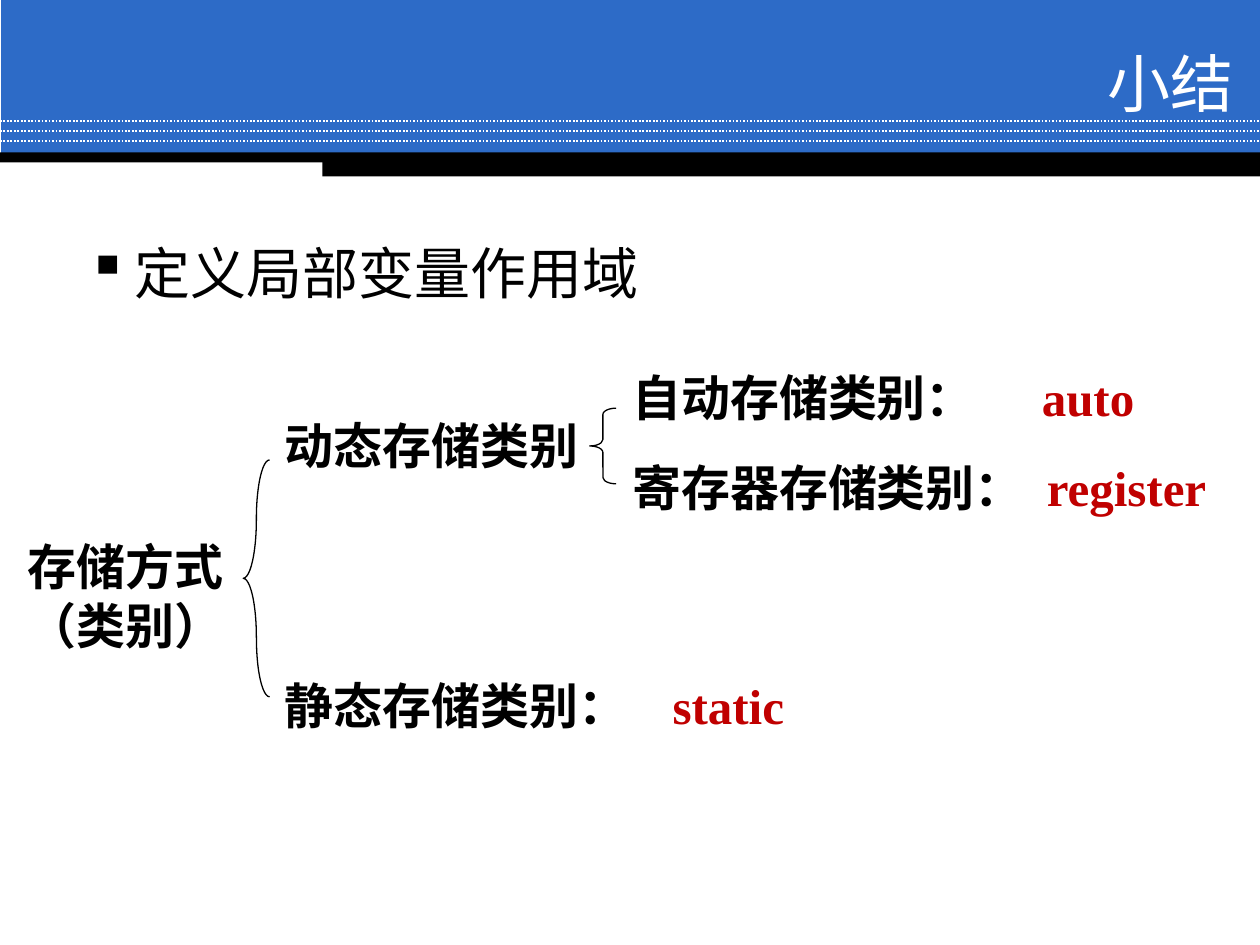
from dataclasses import dataclass
from typing import Optional

from lxml.etree import SubElement
from pptx import Presentation
from pptx.dml.color import RGBColor
from pptx.enum.dml import MSO_LINE
from pptx.enum.shapes import MSO_CONNECTOR, MSO_SHAPE
from pptx.enum.text import MSO_ANCHOR, PP_ALIGN
from pptx.oxml.ns import qn
from pptx.util import Inches, Pt

WHITE = RGBColor(0xFF, 0xFF, 0xFF)
BLACK = RGBColor(0x00, 0x00, 0x00)
BLUE = RGBColor(0x2D, 0x6B, 0xC7)
RED = RGBColor(0xC0, 0x00, 0x00)

WIDTH, HEIGHT = Inches(10), Inches(7.5)
COLUMNS, ROWS = 100, 75
BRANCH_COLUMN, LEAF_COLUMN = 21.6, 49.2


@dataclass(frozen=True)
class Area:
    column: float
    row: float
    columns: float
    rows: float

    def lengths(self) -> tuple:
        return (across(self.column), down(self.row),
                across(self.columns), down(self.rows))


@dataclass(frozen=True)
class Label:
    area: Area
    text: str
    keyword: Optional[str] = None
    keyword_column: float = 0


@dataclass(frozen=True)
class Brace:
    area: Area
    curve: float


BARS = [
    (Area(0.1, 0, 99.9, 12.3), BLUE),
    (Area(0, 12.1, 100, 0.8), BLACK),
    (Area(25.6, 12.4, 74.4, 1.6), BLACK),
]
DOTTED_ROWS = [9.6 + 0.8 * index for index in range(3)]
LABELS = [
    Label(Area(1.2, 42.1, 20.5, 10.3), "存储方式（类别）"),
    Label(Area(BRANCH_COLUMN, 32.5, 26.9, 5.7), "动态存储类别"),
    Label(Area(BRANCH_COLUMN, 53.1, 46.5, 5.7), "静态存储类别：", "static", 53.4),
    Label(Area(LEAF_COLUMN, 28.7, 50.8, 5.7), "自动存储类别：", "auto", 82.7),
    Label(Area(LEAF_COLUMN, 35.8, 48.5, 5.7), "寄存器存储类别：", "register", 83.1),
]
BRACES = [
    Brace(Area(19.3, 36.5, 2.1, 18.8), 2.22),
    Brace(Area(46.8, 32.4, 2.1, 6), 0.24),
]


def across(columns: float) -> int:
    return round(WIDTH * columns / COLUMNS)


def down(rows: float) -> int:
    return round(HEIGHT * rows / ROWS)


def add_bar(page, area: Area, color: RGBColor) -> None:
    bar = page.shapes.add_shape(MSO_SHAPE.RECTANGLE, *area.lengths())
    bar.shadow.inherit = False
    bar.fill.solid()
    bar.fill.fore_color.rgb = color
    bar.line.fill.background()


def add_dotted_line(page, row: float) -> None:
    line = page.shapes.add_connector(
        MSO_CONNECTOR.STRAIGHT, 0, down(row), WIDTH, down(row))
    line.line.color.rgb = WHITE
    line.line.width = Pt(1)
    line.line.dash_style = MSO_LINE.ROUND_DOT
    SubElement(line._element.spPr, qn("a:effectLst"))


def add_brace(page, brace: Brace) -> None:
    shape = page.shapes.add_shape(MSO_SHAPE.LEFT_BRACE, *brace.area.lengths())
    shape.adjustments[0] = brace.curve
    shape.shadow.inherit = False
    shape.fill.background()
    shape.line.color.rgb = BLACK
    shape.line.width = Pt(0.75)


def add_box(page, area: Area):
    box = page.shapes.add_textbox(*area.lengths())
    box.text_frame.word_wrap = True
    return box.text_frame, box.text_frame.paragraphs[0]


def add_span(para, text: str, size: float, color: RGBColor,
             font: str = "Times New Roman", bold: bool = False) -> None:
    span = para.add_run()
    span.text = text
    span.font.name = font
    span.font.size = Pt(size)
    span.font.bold = bold
    span.font.color.rgb = color


def add_label(page, label: Label) -> None:
    frame, para = add_box(page, label.area)
    add_span(para, label.text, 28, BLACK, bold=True)
    if label.keyword:
        stops = SubElement(para._p.get_or_add_pPr(), qn("a:tabLst"))
        position = across(label.keyword_column - label.area.column) - frame.margin_left
        SubElement(stops, qn("a:tab"), pos=str(position), algn="l")
        add_span(para, "\t" + label.keyword, 28, RED, bold=True)


def add_title(page) -> None:
    frame, para = add_box(page, Area(29.7, 3.6, 69.2, 5.8))
    frame.vertical_anchor = MSO_ANCHOR.MIDDLE
    para.alignment = PP_ALIGN.RIGHT
    add_span(para, "小结", 36, WHITE, "Arial")


def add_bullet(page) -> None:
    frame, para = add_box(page, Area(5.9, 18.4, 89.8, 9.6))
    properties = para._p.get_or_add_pPr()
    properties.set("marL", str(across(3.8)))
    properties.set("indent", str(-across(3.8)))
    SubElement(properties, qn("a:buChar"), char="▪")
    add_span(para, "定义局部变量作用域", 32, BLACK)


def main() -> None:
    deck = Presentation()
    deck.slide_width, deck.slide_height = WIDTH, HEIGHT
    page = deck.slides.add_slide(deck.slide_layouts[6])
    for area, color in BARS:
        add_bar(page, area, color)
    for row in DOTTED_ROWS:
        add_dotted_line(page, row)
    add_title(page)
    for label in LABELS:
        add_label(page, label)
    for brace in BRACES:
        add_brace(page, brace)
    add_bullet(page)
    deck.save("out.pptx")


if __name__ == "__main__":
    main()
